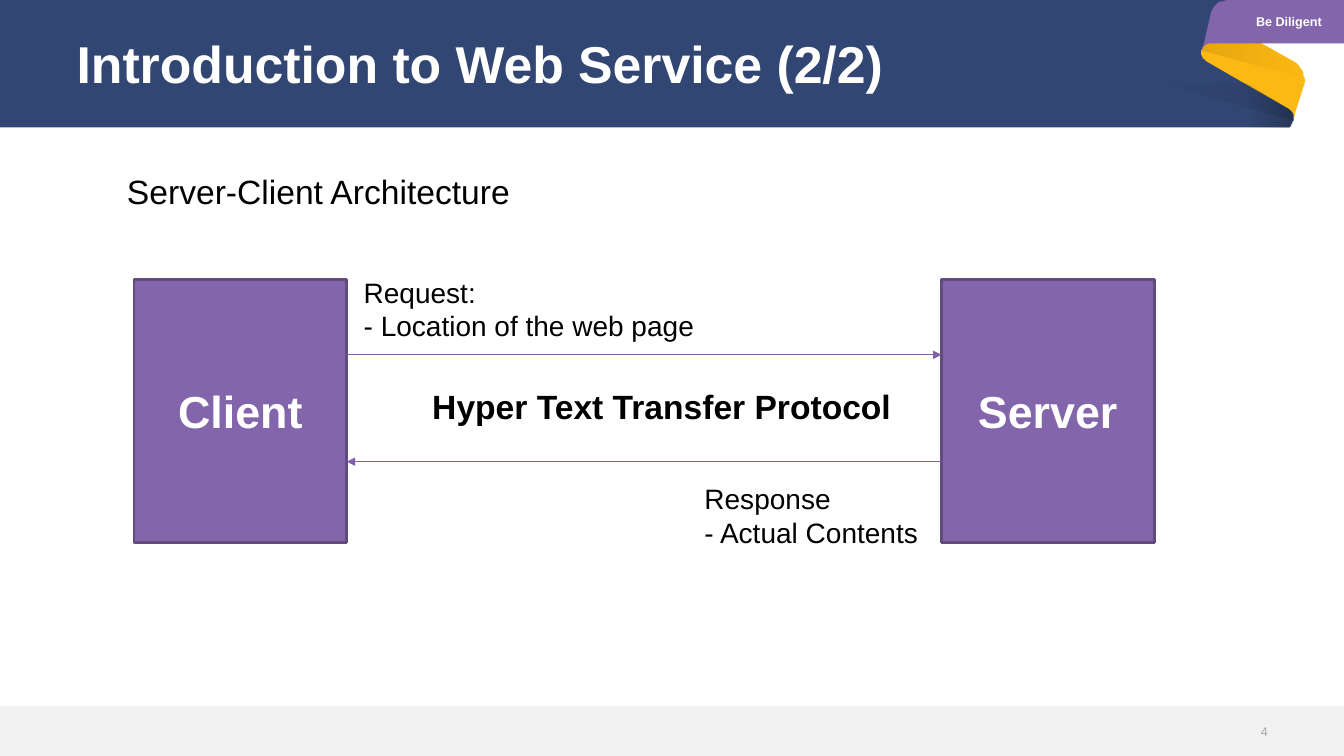
from lxml import etree
from pptx import Presentation
from pptx.dml.color import RGBColor
from pptx.enum import shapes, text
from pptx.oxml import ns
from pptx.util import Pt

# Content
TITLE = "Introduction to Web Service (2/2)"
MOTTO = "Be Diligent"
SUBTITLE = "Server-Client Architecture"
PAGE = "4"
NODES = [("Client", 95.76), ("Server", 672.48)]
NODE_TOP, NODE_W, NODE_H = 199.44, 151.92, 187.92
LABELS = [  # lines, box, size, bold
    (["Request:", "- Location of the web page"], (252.72, 192.96, 252, 55.44), 20, False),
    (["Response", "- Actual Contents"], (496.08, 340.56, 169.2, 55.44), 20, False),
    (["Hyper Text Transfer Protocol"], (301.68, 272.16, 348.48, 36), 24, True),
]
REQUEST_Y, RESPONSE_Y = 253.44, 329.76

COLORS = {"navy": "314672", "yellow": "FCB813", "purple": "8365AB", "edge": "614B7F",
          "arrow": "8061A9", "footer": "F2F2F2", "number": "A5A5A5",
          "white": "FFFFFF", "black": "000000"}

# Outlines: two numbers are a straight step, six are a Bezier curve
FOLD = (923.8, 79.9, 924.5, 82.8, 923.8, 86.4)
BOTTOM = (923, 89.3, 920.9, 91.44, 917.3, 91.44)
SHOULDER = (931.7, 51.8, 929.5, 47.5, 925.9, 45.4)
BANNER = [(0, 0), (895, 0), (895, 51.8), (920.9, 77.8), FOLD, BOTTOM, (0, 91.44)]
RIBBON = [(861.8, 43.9), (920.9, 77.8), FOLD, (925.2, 80.6), (931.7, 59), SHOULDER,
          (895.7, 28.1), (865.4, 29.5), (861.8, 29.5, 859, 33.1, 858.2, 36),
          (857.5, 38.9, 859, 42.5, 861.8, 43.9)]
TAB = [(858.2, 36), (859, 33, 861.8, 31, 865.4, 31), (960, 31), (960, 0), (877.7, 0),
       (871.9, 0, 866.9, 3.6, 865.4, 8.6), (859.7, 31)]
SHADES = [  # outline, opacity percent, angle
    ([(890.6, 60.5), (890.6, 91.44), (917.3, 91.44),
      (920.9, 91.44, 923, 89.3, 923.8, 86.4),
      (924.5, 82.8, 923.8, 79.9, 920.9, 77.8)], 20, 180),
    ([(829.4, 60.5), (923.8, 86.4), (924.5, 82.8, 923.8, 79.9, 920.9, 77.8),
      (890.6, 60.5)], 10, 180),
    ([(858.2, 36), (931.7, 55.4), SHOULDER, (900, 31), (865.4, 31),
      (861.8, 31, 859, 33, 858.2, 36)], 10, 0),
]


def rgb(name):
    return RGBColor.from_string(COLORS[name])


def paint(sp, color, line=None):
    sp.shadow.inherit = False
    sp.fill.solid()
    sp.fill.fore_color.rgb = rgb(color)
    if line:
        sp.line.color.rgb = rgb(line)
        sp.line.width = Pt(2)
    else:
        sp.line.fill.background()


def place(sp, box):
    sp.left, sp.top, sp.width, sp.height = map(Pt, box)


def write(sp, lines, size, color="black", bold=False, align="LEFT", anchor="MIDDLE",
          inset=None, wrap=True, spacing=None):
    tf = sp.text_frame
    tf.word_wrap = wrap
    tf.auto_size = text.MSO_AUTO_SIZE.NONE if wrap else text.MSO_AUTO_SIZE.SHAPE_TO_FIT_TEXT
    tf.vertical_anchor = text.MSO_ANCHOR[anchor]
    if inset is not None:
        tf.margin_left = tf.margin_top = tf.margin_right = tf.margin_bottom = Pt(inset)
    for i, line in enumerate(lines):
        p = tf.paragraphs[0] if i == 0 else tf.add_paragraph()
        p.alignment = text.PP_ALIGN[align]
        if spacing:
            p.line_spacing = spacing
        r = p.add_run()
        r.text = line
        r.font.name, r.font.size, r.font.bold = "Arial", Pt(size), bold
        r.font.color.rgb = rgb(color)


def flatten(outline, steps=8):
    points = [outline[0]]
    for step in outline[1:]:
        if len(step) == 2:
            points.append(step)
            continue
        a, b, c, d = points[-1], step[:2], step[2:4], step[4:]
        for n in range(1, steps + 1):
            t = n / steps
            points.append(tuple((1 - t) ** 3 * a[k] + 3 * t * (1 - t) ** 2 * b[k]
                                + 3 * t * t * (1 - t) * c[k] + t ** 3 * d[k] for k in (0, 1)))
    return points


def add_outline(outline, color):
    points = flatten(outline)
    builder = s.shapes.build_freeform(*points[0], scale=Pt(1))
    builder.add_line_segments(points[1:], close=True)
    sp = builder.convert_to_shape()
    paint(sp, color)
    return sp


def add_arrow(x1, x2, y):
    line = s.shapes.add_connector(shapes.MSO_CONNECTOR.STRAIGHT, Pt(x1), Pt(y), Pt(x2), Pt(y))
    line.line.color.rgb = rgb("arrow")
    line.line.width = Pt(0.75)
    etree.SubElement(line.line._get_or_add_ln(), ns.qn("a:tailEnd"), type="triangle")
    etree.SubElement(line._element.spPr, ns.qn("a:effectLst"))


def add_text(lines, box, size, **fmt):
    sp = s.shapes.add_textbox(*map(Pt, box))
    write(sp, lines, size, **fmt)


prs = Presentation()
prs.slide_width, prs.slide_height = Pt(960), Pt(540)
s = prs.slides.add_slide(prs.slide_layouts[5])

# Banner, ribbon and its shading
for outline, color in [(BANNER, "navy"), (RIBBON, "yellow"), (TAB, "purple")]:
    add_outline(outline, color)
for outline, opacity, angle in SHADES:
    sp = add_outline(outline, "black")
    sp.fill.gradient()
    sp.fill.gradient_angle = angle
    for stop, alpha in zip(sp.fill.gradient_stops, (opacity, 0)):
        stop.color.rgb = rgb("black")
    for clr, alpha in zip(sp._element.spPr.iter(ns.qn("a:srgbClr")), (opacity, 0)):
        etree.SubElement(clr, ns.qn("a:alpha"), val=str(alpha * 1000))

# Footer band
footer = s.shapes.add_shape(shapes.MSO_SHAPE.RECTANGLE, 0, Pt(504), Pt(960), Pt(36))
paint(footer, "footer")

# Title, raised above the banner
title = s.shapes.title
s.shapes._spTree.append(title._element)
place(title, (54.72, 4.32, 850.32, 86.4))
write(title, [TITLE], 37, color="white", bold=True, inset=0, spacing=0.9)

# Subtitle, page number and motto
add_text([SUBTITLE], (90.72, 112.32, 814.32, 40), 24, anchor="TOP", inset=0, spacing=1.33)
add_text([PAGE], (860.4, 513.36, 45.36, 18.72), 9, color="number", align="RIGHT", inset=0)
add_text([MOTTO], (881.28, 0, 78.72, 30.96), 9, color="white", bold=True,
         align="CENTER", inset=0)

# Client and server
for name, left in NODES:
    sp = s.shapes.add_shape(shapes.MSO_SHAPE.RECTANGLE, 0, 0, 0, 0)
    place(sp, (left, NODE_TOP, NODE_W, NODE_H))
    paint(sp, "purple", line="edge")
    write(sp, [name], 32, color="white", bold=True, align="CENTER")

# Request and response
client_edge, server_edge = NODES[0][1] + NODE_W, NODES[1][1]
add_arrow(client_edge, server_edge, REQUEST_Y)
add_arrow(server_edge, client_edge, RESPONSE_Y)
for lines, box, size, bold in LABELS:
    add_text(lines, box, size, bold=bold, anchor="TOP", wrap=False)

prs.save("out.pptx")
